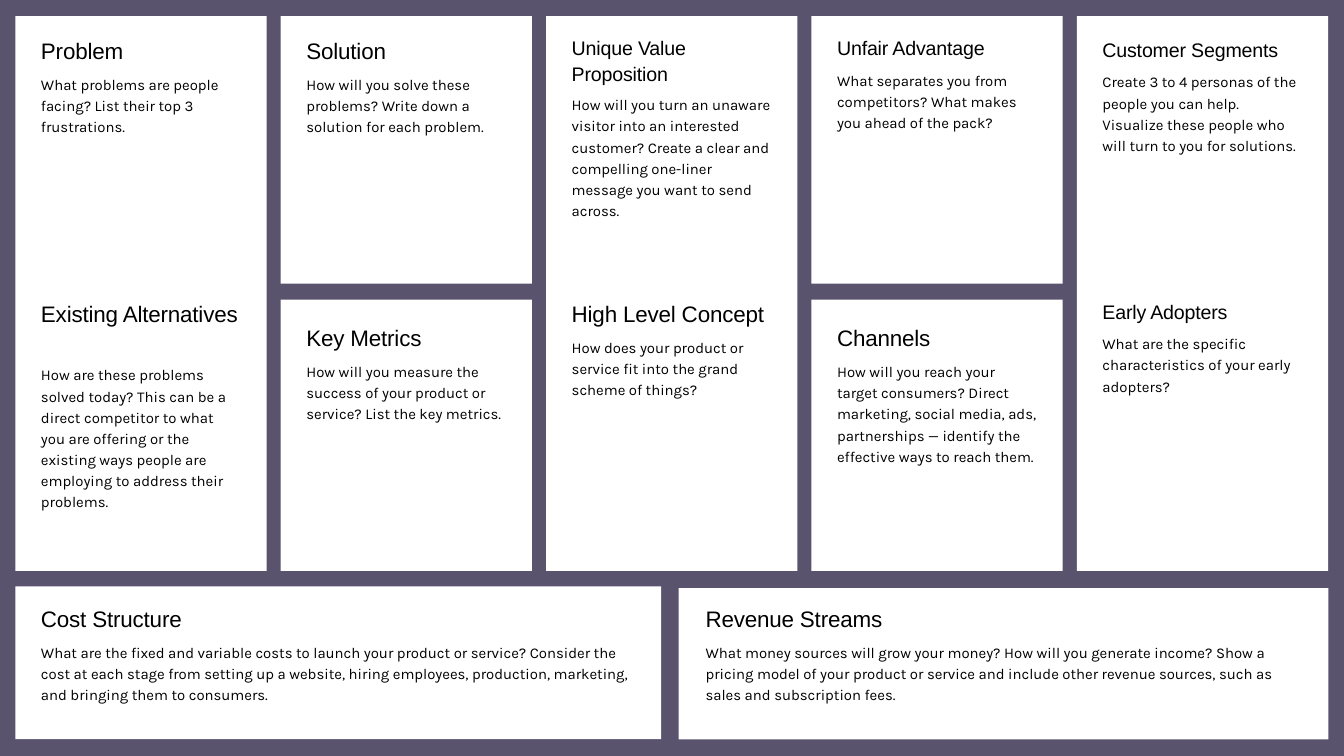
from pptx import Presentation
from pptx.dml.color import RGBColor
from pptx.enum.shapes import MSO_SHAPE
from pptx.enum.text import MSO_AUTO_SIZE
from pptx.oxml.ns import qn
from pptx.util import Cm, Pt

EDGE, PITCH, WIDTH = 0.58, 10.03, 9.5
INSET, GAP = 0.97, 0.37
SLIM, WIDE = 7.54, 22.5
TOP, TALL = 0.61, 20.97
LOW, RIGHT = 22.78, 26.67

# column, top, size, title lines, body lines, title, body
CELLS = [
    (0, 1.3, 24, 1, 3, "Problem",
     "What problems are people facing? List their top 3 frustrations."),
    (1, 1.3, 24, 1, 3, "Solution",
     "How will you solve these problems? Write down a solution for each problem."),
    (2, 1.3, 21, 2, 6, "Unique Value Proposition",
     "How will you turn an unaware visitor into an interested customer? "
     "Create a clear and compelling one-liner message you want to send across."),
    (3, 1.3, 21, 1, 3, "Unfair Advantage",
     "What separates you from competitors? What makes you ahead of the pack?"),
    (4, 1.35, 21, 1, 4, "Customer Segments",
     "Create 3 to 4 personas of the people you can help. "
     "Visualize these people who will turn to you for solutions."),
    (0, 11.25, 24, 2, 7, "Existing Alternatives",
     "How are these problems solved today? This can be a direct competitor to what you are "
     "offering or the existing ways people are employing to address their problems."),
    (1, 12.17, 24, 1, 3, "Key Metrics",
     "How will you measure the success of your product or service? List the key metrics."),
    (2, 11.25, 24, 1, 3, "High Level Concept",
     "How does your product or service fit into the grand scheme of things?"),
    (3, 12.17, 24, 1, 5, "Channels",
     "How will you reach your target consumers? Direct marketing, social media, ads, "
     "partnerships — identify the effective ways to reach them."),
    (4, 11.25, 21, 1, 3, "Early Adopters",
     "What are the specific characteristics of your early adopters?"),
]
COST = ("Cost Structure",
        "What are the fixed and variable costs to launch your product or service? "
        "Consider the cost at each stage from setting up a website, hiring employees, "
        "production, marketing, and bringing them to consumers.")
SALES = ("Revenue Streams",
         "What money sources will grow your money? How will you generate income? "
         "Show a pricing model of your product or service and include other revenue "
         "sources, such as sales and subscription fees.")


def paint(fill, code):
    """Fill with a solid hex colour."""
    fill.solid()
    fill.fore_color.rgb = RGBColor.from_string(code)


def add_card(slide, left, top, width, height):
    """Add a plain white card."""
    card = slide.shapes.add_shape(
        MSO_SHAPE.RECTANGLE, Cm(left), Cm(top), Cm(width), Cm(height))
    card.shadow.inherit = False
    card.line.fill.background()
    paint(card.fill, "FFFFFF")


def add_text(slide, left, top, width, height, text, face, size, pitch):
    """Add a text box without insets and return its paragraph."""
    box = slide.shapes.add_textbox(Cm(left), Cm(top), Cm(width), Cm(height))
    frame = box.text_frame
    frame.word_wrap = True
    frame.auto_size = MSO_AUTO_SIZE.SHAPE_TO_FIT_TEXT
    frame.margin_left = frame.margin_right = 0
    frame.margin_top = frame.margin_bottom = 0
    para = frame.paragraphs[0]
    para.text = text
    para.line_spacing = Pt(pitch)
    para.font.name = face
    para.font.size = Pt(size)
    paint(para.font.fill, "000000")
    return para


def add_entry(slide, left, top, width, size, rows, lines, title, body):
    """Add a heading with its prompt below."""
    pitch = size * 1.3
    height = rows * Pt(pitch).cm * 0.95
    head = add_text(slide, left, top, width, height, title, "Arial", size, pitch)
    head._p.pPr.find(qn("a:defRPr")).set("spc", "-20")
    add_text(slide, left, top + height + GAP, width, lines * 0.79,
             body, "Karla", 16, 22.7)


def main():
    """Build the lean canvas."""
    deck = Presentation()
    deck.slide_width, deck.slide_height = Cm(50.8), Cm(28.58)
    slide = deck.slides.add_slide(deck.slide_layouts[6])
    paint(slide.background.fill, "59536E")
    for col in range(5):
        left = EDGE + col * PITCH
        if col % 2:
            add_card(slide, left, TOP, WIDTH, 10.11)
            add_card(slide, left, 11.33, WIDTH, 10.25)
        else:
            add_card(slide, left, TOP, WIDTH, TALL)
    add_card(slide, EDGE, 22.17, 24.41, 5.77)
    add_card(slide, 25.65, 22.23, 24.56, 5.72)
    for col, top, *rest in CELLS:
        add_entry(slide, EDGE + INSET + col * PITCH, top, SLIM, *rest)
    for left, words in ((EDGE + INSET, COST), (RIGHT, SALES)):
        add_entry(slide, left, LOW, WIDE, 24, 1, 3, *words)
    deck.save("out.pptx")


if __name__ == "__main__":
    main()
